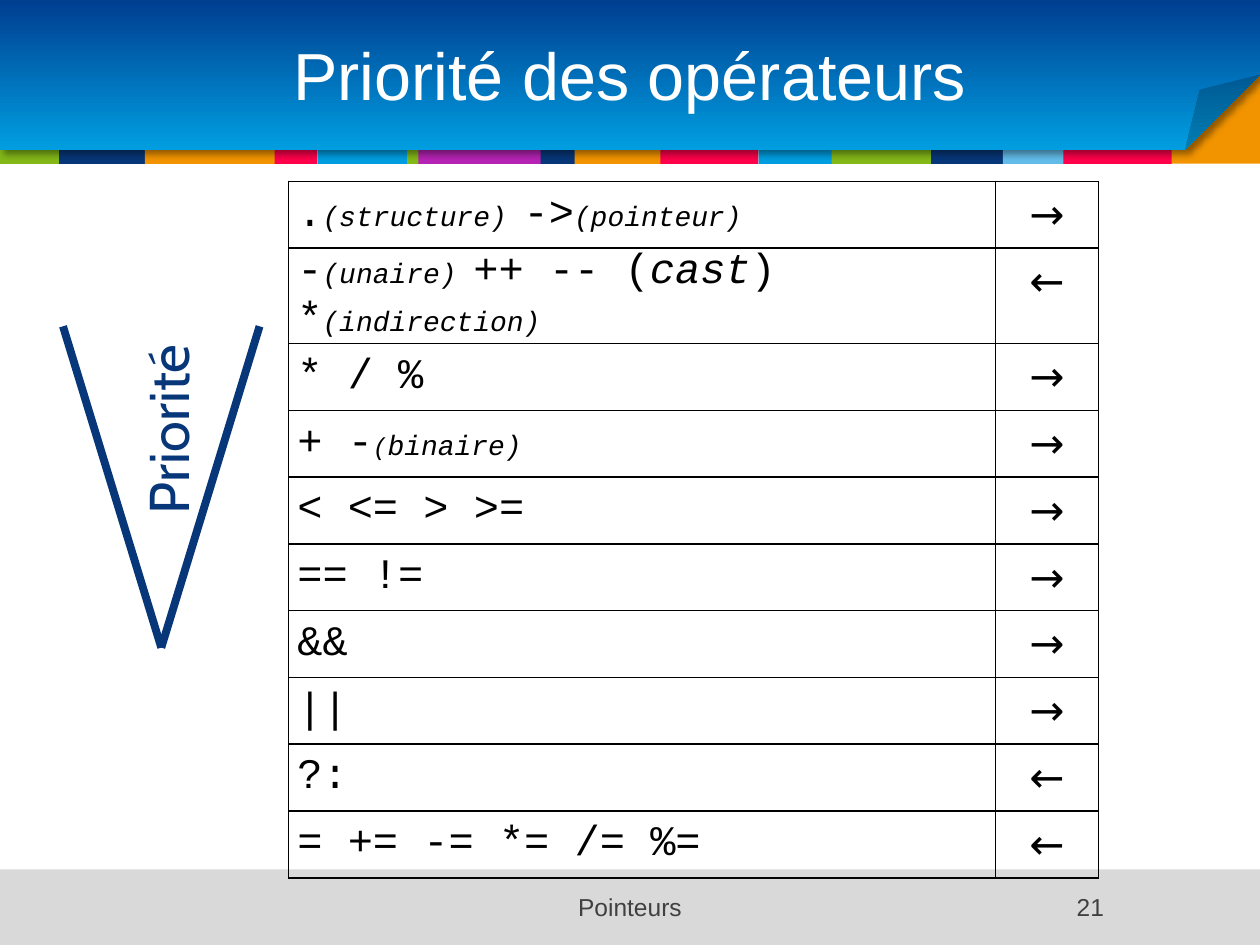
import pptx
import pptx.util
import pptx.dml.color
import pptx.enum.shapes
import pptx.enum.text
import pptx.oxml
import pptx.oxml.ns
from lxml import etree

Inches, Pt = pptx.util.Inches, pptx.util.Pt
SHAPE = pptx.enum.shapes.MSO_SHAPE
ALIGN = pptx.enum.text.PP_ALIGN
ANCHOR = pptx.enum.text.MSO_ANCHOR
qn = pptx.oxml.ns.qn

COLORS = {
    "white": "FFFFFF", "black": "000000", "gray": "D9D9D9", "text": "404040",
    "navy": "073779", "green": "83B818", "orange": "F29400", "red": "FF014B",
    "blue": "009EE0", "deep": "003E90", "purple": "B523B4", "sky": "62BCE9",
}
STRIPES = [  # left, width, colour
    (2.97, 0.51, "green"), (9.21, 0.79, "orange"), (0, 0.51, "green"),
    (0.47, 0.69, "navy"), (1.15, 1.1, "orange"), (2.18, 0.34, "red"),
    (2.52, 0.71, "blue"), (3.32, 1.01, "purple"), (4.29, 0.28, "navy"),
    (4.56, 0.71, "orange"), (5.24, 0.78, "red"), (6.02, 0.61, "blue"),
    (6.6, 0.91, "green"), (7.39, 0.58, "navy"), (7.96, 0.5, "sky"),
    (8.44, 0.86, "red"),
]
RIGHT, LEFT = "→", "←"
OPERATORS = [  # runs as (text, size, italic), then associativity
    ([(".", 24, False), ("(structure) ", 16, True), ("->", 24, False),
      ("(pointeur)", 16, True)], RIGHT),
    ([("-", 24, False), ("(unaire) ", 16, True), ("++ -- (", 24, False),
      ("cast", 24, True), (") *", 24, False), ("(indirection)", 16, True)], LEFT),
    ([("* / %", 24, False)], RIGHT),
    ([("+ -", 24, False), ("(", 14, True), ("binaire)", 16, True)], RIGHT),
    ([("< <= > >=", 24, False)], RIGHT),
    ([("== !=", 24, False)], RIGHT),
    ([("&&", 24, False)], RIGHT),
    ([("||", 24, False)], RIGHT),
    ([("?:", 24, False)], LEFT),
    ([("= += -= *= /= %=", 24, False)], LEFT),
]


def rgb(name):
    return pptx.dml.color.RGBColor.from_string(COLORS[name])


def style_run(r, font, size, color, italic=False):
    r.font.name = font
    r.font.size = Pt(size)
    r.font.italic = italic
    r.font.color.rgb = rgb(color)


def add_box(shapes, kind, left, top, width, height, color):
    sp = shapes.add_shape(kind, Inches(left), Inches(top), Inches(width), Inches(height))
    sp.shadow.inherit = False
    sp.line.fill.background()
    sp.fill.solid()
    sp.fill.fore_color.rgb = rgb(color)
    return sp


def add_banner(shapes):
    sp = add_box(shapes, SHAPE.FOLDED_CORNER, 0, 0, 10, 1.19, "blue")
    guides = sp._element.spPr.find(qn("a:prstGeom")).find(qn("a:avLst"))
    etree.SubElement(guides, qn("a:gd"), name="adj", fmla="val 50000")
    sp.fill.gradient()
    sp.fill.gradient_angle = 90
    for stop, color, position in zip(sp.fill.gradient_stops, ("blue", "deep"), (0, 1)):
        stop.color.rgb = rgb(color)
        stop.position = position
    effects = sp._element.spPr.find(qn("a:effectLst"))
    shadow = etree.SubElement(effects, qn("a:outerShdw"), blurRad=str(Pt(4)),
                              dist=str(Pt(3)), dir=str(45 * 60000),
                              algn="tl", rotWithShape="0")
    color = etree.SubElement(shadow, qn("a:srgbClr"), val=COLORS["black"])
    etree.SubElement(color, qn("a:alpha"), val="40000")


def place_title(slide, text):
    title = slide.shapes.title
    slide.shapes._spTree.append(title._element)  # in front of the banner
    title.left, title.top = Inches(0.5), Inches(0.07)
    title.width, title.height = Inches(9), Inches(1.03)
    tf = title.text_frame
    tf.text = text
    tf.vertical_anchor = ANCHOR.MIDDLE
    tf.paragraphs[0].alignment = ALIGN.CENTER
    style_run(tf.paragraphs[0].runs[0], "Arial", 38, "white")


def add_footer_text(shapes, text, left, width, align):
    box = shapes.add_textbox(Inches(left), Inches(7.03), Inches(width), Inches(0.37))
    tf = box.text_frame
    tf.word_wrap = True
    p = tf.paragraphs[0]
    p.text = text
    p.alignment = align
    style_run(p.runs[0], "Arial", 14, "text")


def format_cell(cell):
    cell.margin_left = cell.margin_right = Inches(0.07)
    cell.margin_top = cell.margin_bottom = 0
    tc_pr = cell._tc.get_or_add_tcPr()
    for side in ("a:lnL", "a:lnR", "a:lnT", "a:lnB"):
        ln = etree.SubElement(tc_pr, qn(side), w=str(Pt(1)))
        fill = etree.SubElement(ln, qn("a:solidFill"))
        etree.SubElement(fill, qn("a:srgbClr"), val=COLORS["black"])
    cell.fill.background()


def add_operator_table(shapes):
    table = shapes.add_table(len(OPERATORS), 2, Inches(2.29), Inches(1.44),
                             Inches(6.43), Inches(0.53 * len(OPERATORS))).table
    table.first_row = table.horz_banding = False
    table.columns[0].width, table.columns[1].width = Inches(5.61), Inches(0.82)
    for row, (runs, arrow) in enumerate(OPERATORS):
        table.rows[row].height = Inches(0.53)
        operators, direction = table.cell(row, 0), table.cell(row, 1)
        format_cell(operators)
        format_cell(direction)
        operators.vertical_anchor = ANCHOR.MIDDLE
        for text, size, italic in runs:
            r = operators.text_frame.paragraphs[0].add_run()
            r.text = text
            style_run(r, "Courier New", size, "black", italic)
        p = direction.text_frame.paragraphs[0]
        p.text = arrow
        p.alignment = ALIGN.CENTER
        p.line_spacing = 1.15
        style_run(p.runs[0], "Cabin", 24, "black")


def add_priority_mark(shapes):
    """Vertical label between two lines that meet at the bottom."""
    group = shapes.add_group_shape().shapes
    sp = add_box(group, SHAPE.RECTANGLE, 0.98, 2.36, 0.69, 1.72, "white")
    tf = sp.text_frame
    tf.margin_left = tf.margin_right = tf.margin_top = tf.margin_bottom = 0
    tf.word_wrap = False
    tf.vertical_anchor = ANCHOR.TOP
    tf._txBody.bodyPr.set("vert", "vert270")
    p = tf.paragraphs[0]
    p.text = "Priorité"
    p.alignment = ALIGN.LEFT
    p.line_spacing = 1.15
    p.space_after = Pt(3)
    style_run(p.runs[0], "Cabin", 32, "navy")
    for x in (0.5, 2.06):
        line = group.add_connector(pptx.enum.shapes.MSO_CONNECTOR.STRAIGHT,
                                   Inches(x), Inches(2.59), Inches(1.28), Inches(5.14))
        line.line.color.rgb = rgb("navy")
        line.line.width = Pt(4.5)
        etree.SubElement(line._element.spPr, qn("a:effectLst"))


def main():
    prs = pptx.Presentation()
    prs.slide_width, prs.slide_height = Inches(10), Inches(7.5)
    slide = prs.slides.add_slide(prs.slide_layouts[5])
    shapes = slide.shapes
    for left, width, color in STRIPES:
        top = 0.47 if left == 9.21 else 0.81  # the last one shows behind the fold
        add_box(shapes, SHAPE.RECTANGLE, left, top, width, 1.3 - top, color)
    add_banner(shapes)
    add_box(shapes, SHAPE.RECTANGLE, 0, 6.9, 10, 0.6, "gray")
    place_title(slide, "Priorité des opérateurs")
    add_operator_table(shapes)
    add_footer_text(shapes, "21", 7.68, 1.18, ALIGN.RIGHT)
    add_priority_mark(shapes)
    add_footer_text(shapes, "Pointeurs", 2.56, 4.88, ALIGN.CENTER)
    prs.save("out.pptx")


if __name__ == "__main__":
    main()
